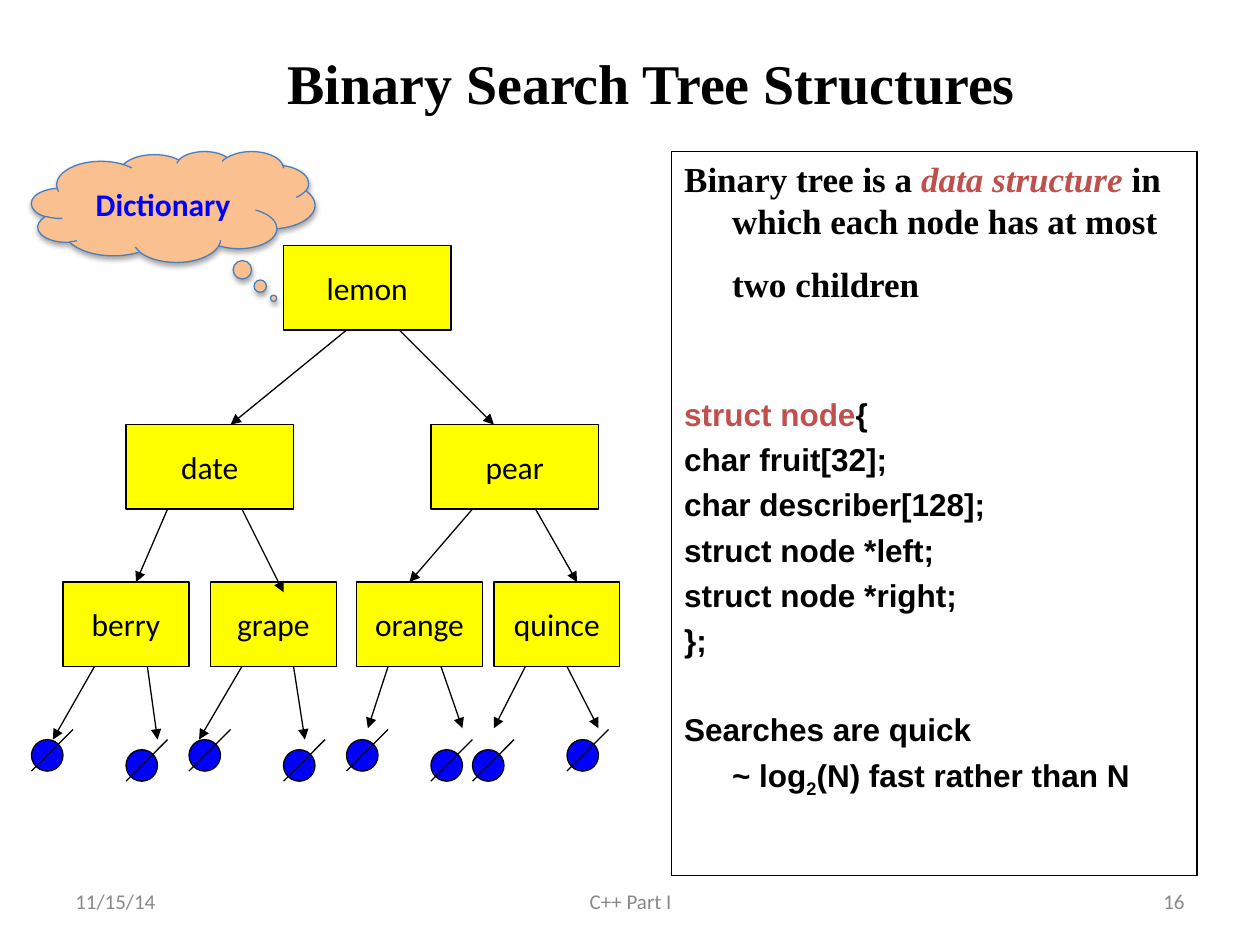
import dataclasses
import pptx
import pptx.util
import pptx.dml.color
import pptx.enum.shapes
import pptx.enum.text
import pptx.oxml
import pptx.oxml.ns
import lxml.etree

Inches = pptx.util.Inches
Pt = pptx.util.Pt
RGB = pptx.dml.color.RGBColor.from_string
SHAPE = pptx.enum.shapes.MSO_SHAPE
ALIGN = pptx.enum.text.PP_ALIGN
ANCHOR = pptx.enum.text.MSO_ANCHOR
qn = pptx.oxml.ns.qn


@dataclasses.dataclass(frozen=True)
class Theme:
    ink: str = "000000"
    accent: str = "C0504D"
    node: str = "FFFF00"
    null: str = "0000FF"
    cloud: str = "FAC090"
    cloud_edge: str = "4B7EBC"
    muted: str = "898989"
    serif: str = "Times New Roman"
    sans: str = "Calibri"
    code: str = "Arial"
    title_size: int = 32
    lead_size: int = 20
    text_size: int = 18
    footer_size: int = 12
    line_width: float = 0.75


@dataclasses.dataclass(frozen=True)
class Box:
    left: float
    top: float
    width: float
    height: float

    def emu(self):
        return [Inches(v) for v in dataclasses.astuple(self)]

    def inner(self, x, y, width, height):
        return Box(self.left + x, self.top + y, width, height)


THEME = Theme()
LEVEL_TOPS = (0, 1.42, 2.67)
LEVEL_WIDTHS = (1.33, 1.33, 1)
NODE_HEIGHT = 0.67
NULL_SIZE = 0.25
SLASH_RISE = 0.08

# word, level, left, links as (start x, end x, end y)
NODES = (
    ("lemon", 0, 2, ((2.5, 1.58, 1.42), (2.92, 3.67, 1.42))),
    ("date", 1, 0.75, ((1.08, 0.83, 2.67), (1.67, 2, 2.75))),
    ("pear", 1, 3.17, ((3.5, 3, 2.67), (4, 4.33, 2.67))),
    ("berry", 2, 0.25, ((0.5, 0.17, 3.92), (0.92, 1, 3.92))),
    ("grape", 2, 1.42, ((1.67, 1.33, 3.92), (2.08, 2.17, 3.92))),
    ("orange", 2, 2.58, ((2.83, 2.67, 3.83), (3.25, 3.42, 3.83))),
    ("quince", 2, 3.67, ((3.92, 3.67, 3.83), (4.25, 4.5, 3.83))),
)
NULLS = ((0, 3.92), (0.75, 4), (1.25, 3.92), (2, 4),
         (2.5, 3.92), (3.17, 4), (3.5, 4), (4.25, 3.92))


def add_run(paragraph, text, font, size, color, bold=False, italic=False):
    run = paragraph.add_run()
    run.text = text
    run.font.name = font
    run.font.size = Pt(size)
    run.font.color.rgb = RGB(color)
    run.font.bold = bold
    run.font.italic = italic
    return run


def set_outline(line, color=THEME.ink):
    line.color.rgb = RGB(color)
    line.width = Pt(THEME.line_width)


def place(part, box):
    part.left, part.top, part.width, part.height = box.emu()


def draw_shape(slide, kind, box, fill, edge=THEME.ink):
    shape = slide.shapes.add_shape(kind, *box.emu())
    shape.shadow.inherit = False
    shape.fill.solid()
    shape.fill.fore_color.rgb = RGB(fill)
    set_outline(shape.line, edge)
    return shape


def label(shape, text, color=THEME.ink, bold=False, wrap=False):
    frame = shape.text_frame
    frame.word_wrap = wrap
    frame.vertical_anchor = ANCHOR.MIDDLE
    paragraph = frame.paragraphs[0]
    paragraph.alignment = ALIGN.CENTER
    add_run(paragraph, text, THEME.sans, THEME.text_size, color, bold)


def draw_line(slide, box, start, end, arrow=False):
    ends = [Inches(v) for x, y in (start, end) for v in (box.left + x, box.top + y)]
    line = slide.shapes.add_connector(pptx.enum.shapes.MSO_CONNECTOR.STRAIGHT, *ends)
    set_outline(line.line)
    properties = line._element.spPr
    lxml.etree.SubElement(properties, qn("a:effectLst"))
    if arrow:
        lxml.etree.SubElement(properties.find(qn("a:ln")), qn("a:tailEnd"), type="triangle")


def build_title(slide, box):
    title = slide.shapes.title
    place(title, box)
    title.text_frame.vertical_anchor = ANCHOR.MIDDLE
    title.text_frame.auto_size = pptx.enum.text.MSO_AUTO_SIZE.NONE
    heading = title.text_frame.paragraphs[0]
    heading.alignment = ALIGN.CENTER
    add_run(heading, "Binary Search Tree Structures", THEME.serif, THEME.title_size, THEME.ink, True)


def build_definition(slide, box):
    body = slide.placeholders[1]
    place(body, box)
    set_outline(body.line)
    frame = body.text_frame
    frame.word_wrap = True
    frame.auto_size = pptx.enum.text.MSO_AUTO_SIZE.NONE
    frame.vertical_anchor = ANCHOR.TOP

    def add_line(space, runs, first_indent=-0.38):
        paragraph = frame.add_paragraph() if frame.paragraphs[0].runs else frame.paragraphs[0]
        paragraph.space_before = Pt(space)
        paragraph.alignment = ALIGN.LEFT
        properties = paragraph._p.get_or_add_pPr()
        properties.set("marL", str(Inches(0.38)))
        properties.set("indent", str(Inches(first_indent)))
        lxml.etree.SubElement(properties, qn("a:buNone"))
        return [add_run(paragraph, *run) for run in runs]

    def code(text, color=THEME.ink):
        return text, THEME.code, THEME.text_size, color, True

    lead = (THEME.serif, THEME.lead_size)
    add_line(2, [
        ("Binary tree is a ", *lead, THEME.ink, True),
        ("data structure", *lead, THEME.accent, True, True),
        (" in which each node has at most two children", *lead, THEME.ink, True),
        (" ", THEME.serif, THEME.title_size, THEME.ink),
    ])
    add_line(49, [code("struct node", THEME.accent), code("{")])
    for member in ("char fruit[32];", "char describer[128];",
                   "struct node *left;", "struct node *right;", "};"):
        add_line(4.3, [code(member)])
    add_line(29.4, [code("Searches are quick")])
    cost = add_line(4.3, [code("~ log"), code("2"), code("(N) fast rather than N")], 0)
    cost[1].font._element.set("baseline", "-25000")


def build_tree(slide, box):
    for word, level, left, links in NODES:
        top = LEVEL_TOPS[level]
        node_box = box.inner(left, top, LEVEL_WIDTHS[level], NODE_HEIGHT)
        label(draw_shape(slide, SHAPE.RECTANGLE, node_box, THEME.node), word)
    for word, level, left, links in NODES:
        bottom = LEVEL_TOPS[level] + NODE_HEIGHT
        for start, end, end_top in links:
            draw_line(slide, box, (start, bottom), (end, end_top), arrow=True)
    for x, y in NULLS:
        draw_shape(slide, SHAPE.OVAL, box.inner(x, y, NULL_SIZE, NULL_SIZE), THEME.null)
        draw_line(slide, box, (x + NULL_SIZE + SLASH_RISE, y - SLASH_RISE), (x, y + NULL_SIZE))


def build_cloud(slide, box):
    cloud = draw_shape(slide, SHAPE.CLOUD_CALLOUT, box, THEME.cloud, THEME.cloud_edge)
    cloud.adjustments[0] = 0.354
    cloud.adjustments[1] = 0.827
    label(cloud, "Dictionary", THEME.null, bold=True, wrap=True)
    effects = cloud._element.spPr.find(qn("a:effectLst"))
    shadow = lxml.etree.SubElement(effects, qn("a:outerShdw"), blurRad=str(Pt(3.1)),
                                   dist=str(Pt(1.8)), dir="5400000", rotWithShape="0")
    tint = lxml.etree.SubElement(shadow, qn("a:srgbClr"), val=THEME.ink)
    lxml.etree.SubElement(tint, qn("a:alpha"), val="35000")


def build_footer(slide, box):
    for text, x, width, align in (("11/15/14", 0, 2.33, ALIGN.LEFT),
                                  ("C++ Part I", 2.92, 3.17, ALIGN.CENTER),
                                  ("16", 6.67, 2.33, ALIGN.RIGHT)):
        note = slide.shapes.add_textbox(*box.inner(x, 0, width, box.height).emu())
        note.text_frame.word_wrap = True
        note.text_frame.vertical_anchor = ANCHOR.MIDDLE
        paragraph = note.text_frame.paragraphs[0]
        paragraph.alignment = align
        add_run(paragraph, text, THEME.sans, THEME.footer_size, THEME.muted)


def main():
    deck = pptx.Presentation()
    deck.slide_width, deck.slide_height = Inches(10), Inches(7.5)
    slide = deck.slides.add_slide(deck.slide_layouts[1])
    build_footer(slide, Box(0.5, 6.95, 9, 0.4))
    build_title(slide, Box(0.92, 0.28, 8.5, 0.75))
    build_definition(slide, Box(5.33, 1.2, 4.17, 5.75))
    build_tree(slide, Box(0.25, 1.95, 4.67, 4.25))
    build_cloud(slide, Box(0.25, 1.2, 2.25, 0.88))
    deck.save("out.pptx")


if __name__ == "__main__":
    main()
